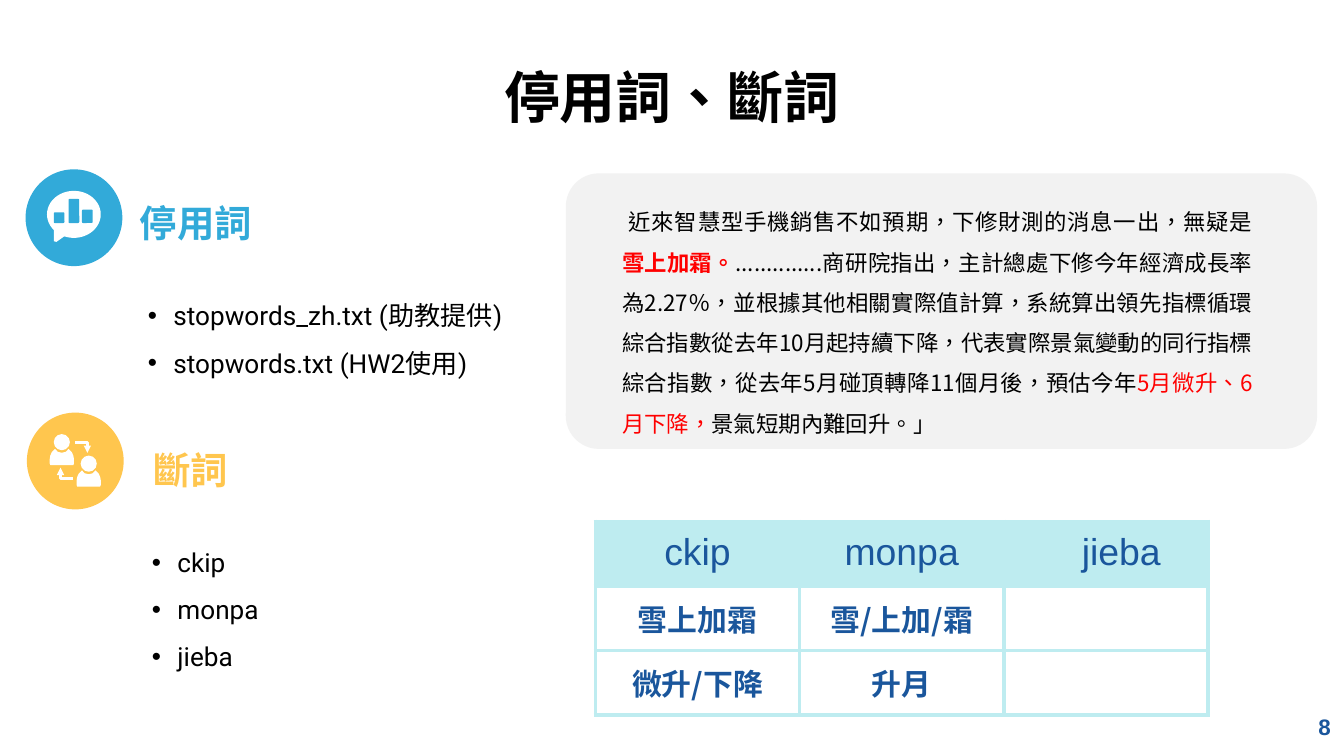
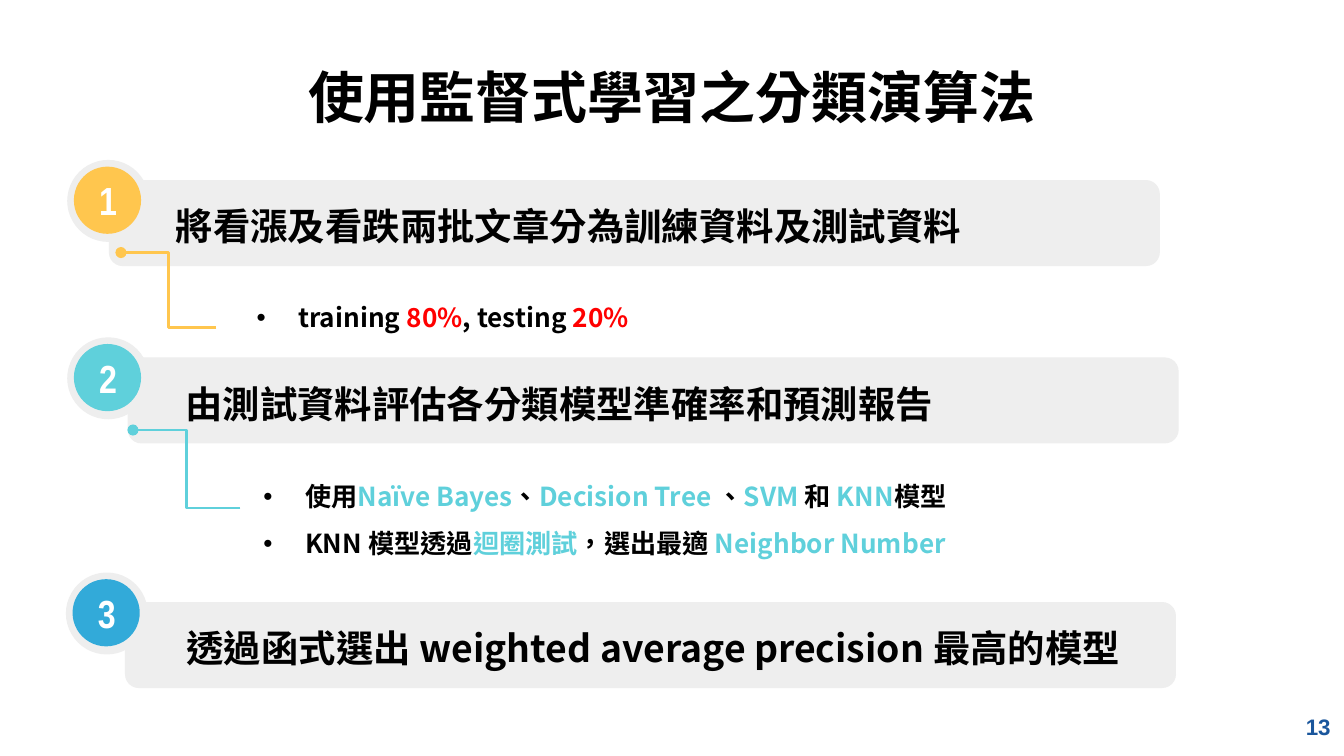
from dataclasses import dataclass, replace
from typing import NamedTuple, Optional

from lxml.etree import SubElement
from pptx import Presentation
from pptx.dml.color import RGBColor
from pptx.enum.shapes import MSO_CONNECTOR as Link, MSO_SHAPE as Preset
from pptx.enum.text import MSO_ANCHOR as Anchor, MSO_AUTO_SIZE as AutoSize, PP_ALIGN as Align
from pptx.oxml.ns import qn
from pptx.slide import Slide
from pptx.util import Emu, Pt

PX = 9144  # EMU per px, 100 px to the inch
COLOURS = {
    "black": "000000", "white": "FFFFFF", "red": "FF0000", "navy": "1A569C",
    "blue": "32AAD9", "yellow": "FFC64E", "teal": "5FD0DB", "pale": "BEECF0",
    "panel": "F2F2F2", "banner": "EEEEEE",
}
CJK = "Noto Sans CJK TC"


class Box(NamedTuple):
    x: int
    y: int
    w: int
    h: int


class Span(NamedTuple):
    text: str
    colour: Optional[str] = None
    bold: Optional[bool] = None


@dataclass(frozen=True)
class Style:
    size: int
    font: str = CJK
    colour: str = "black"
    bold: bool = False
    align: Align = Align.LEFT
    spacing: float = 1.0
    margin: tuple[int, int] = (10, 10)
    hang: int = 0  # bullet indent
    first: int = 0  # first-line indent


@dataclass(frozen=True)
class Step:
    number: str
    colour: str
    ring: tuple[int, int]
    banner: tuple[int, int]
    heading_x: int
    heading: str
    elbow: Optional[Box] = None


TITLE = Style(30, bold=True, align=Align.CENTER)
SUBHEAD = Style(20, "Arial Narrow", bold=True)
BULLETS = Style(14, "Roboto", spacing=1.5, hang=19)
DETAILS = Style(14, bold=True, spacing=1.5, hang=31)
ARTICLE = Style(12, align=Align.JUSTIFY, spacing=1.5, first=5)
HEADING = Style(20, bold=True, margin=(10, 5))
DIGIT = Style(21, "Arial Narrow", "white", True, Align.CENTER)
PAGE = Style(12, "Arial", "navy", True, Align.RIGHT)
TABLE_HEAD = Style(20, "Arial", "navy", align=Align.CENTER, margin=(8, 8))
TABLE_CELL = Style(16, CJK, "navy", True, Align.CENTER, margin=(8, 8))


def px(length: int) -> Emu:
    return Emu(length * PX)


def rgb(name: str) -> RGBColor:
    return RGBColor.from_string(COLOURS[name])


# Text
def write_paragraph(paragraph, spans: list[Span], style: Style) -> None:
    paragraph.alignment = style.align
    paragraph.line_spacing = style.spacing
    paragraph.space_before = paragraph.space_after = Pt(0)
    props = paragraph._p.get_or_add_pPr()
    props.set("marL", str(px(style.hang)))
    props.set("indent", str(px(style.first - style.hang)))
    if style.hang:
        bullet_colour = SubElement(props, qn("a:buClr"))
        SubElement(bullet_colour, qn("a:srgbClr"), val=COLOURS["black"])
        SubElement(props, qn("a:buFont"), typeface="Arial")
        SubElement(props, qn("a:buChar"), char="•")
    else:
        SubElement(props, qn("a:buNone"))
    for span in spans:
        run = paragraph.add_run()
        run.text = span.text
        run.font.size = Pt(style.size)
        run.font.bold = style.bold if span.bold is None else span.bold
        run.font.color.rgb = rgb(span.colour or style.colour)
        run.font.name = style.font
        run_props = run._r.get_or_add_rPr()
        run_props.set("lang", "zh-TW")
        SubElement(run_props, qn("a:ea"), typeface=CJK)


def write(frame, lines: list[list[Span]], style: Style) -> None:
    frame.word_wrap = True
    frame.auto_size = AutoSize.NONE
    frame.vertical_anchor = Anchor.MIDDLE
    frame.margin_left = frame.margin_right = px(style.margin[0])
    frame.margin_top = frame.margin_bottom = px(style.margin[1])
    for i, spans in enumerate(lines):
        paragraph = frame.add_paragraph() if i else frame.paragraphs[0]
        write_paragraph(paragraph, spans, style)


def add_text(slide: Slide, box: Box, lines: list[list[Span]], style: Style) -> None:
    write(slide.shapes.add_textbox(*map(px, box)).text_frame, lines, style)


def fill_placeholder(slide: Slide, idx: int, box: Box, lines: list[list[Span]],
                     style: Style) -> None:
    holder = slide.placeholders[idx]
    holder.left, holder.top, holder.width, holder.height = map(px, box)
    write(holder.text_frame, lines, style)


# Shapes
def paint(shape, colour: str) -> None:
    shape.shadow.inherit = False
    shape.fill.solid()
    shape.fill.fore_color.rgb = rgb(colour)
    shape.line.fill.background()


def add_block(slide: Slide, preset: Preset, box: Box, colour: str,
              corner: Optional[float] = None) -> None:
    block = slide.shapes.add_shape(preset, *map(px, box))
    paint(block, colour)
    if corner is not None:
        block.adjustments[0] = corner


def add_outline(slide: Slide, points: list[tuple[int, int]], closed: bool = True):
    """Points are in tenths of a px."""
    builder = slide.shapes.build_freeform(*points[0], scale=PX / 10)
    builder.add_line_segments(points[1:], close=closed)
    outline = builder.convert_to_shape()
    paint(outline, "white")
    return outline


def end_mark(shape, colour: str, kind: str, size: str = "med") -> None:
    shape.line.color.rgb = rgb(colour)
    shape.line.width = Pt(1.5)
    SubElement(shape.line._get_or_add_ln(), qn("a:tailEnd"), type=kind, w=size, len=size)


# Shared slide parts
def new_slide(prs, layout: int, title: str, page: str) -> Slide:
    slide = prs.slides.add_slide(prs.slide_layouts[layout])
    fill_placeholder(slide, 0, Box(50, 45, 900, 53), [[Span(title)]], TITLE)
    add_text(slide, Box(940, 519, 60, 43), [[Span(page)]], PAGE)
    return slide


# Icons
def add_chart_bubble(slide: Slide) -> None:
    add_block(slide, Preset.OVAL, Box(19, 126, 72, 72), "blue")
    add_block(slide, Preset.OVAL, Box(35, 142, 40, 35), "white")
    add_outline(slide, [(400, 1690), (400, 1795), (420, 1800), (490, 1750)])
    for x, top in ((40, 158), (51, 148), (61, 156)):
        add_block(slide, Preset.ROUNDED_RECTANGLE, Box(x, top, 8, 166 - top), "blue", 0.12)


def add_people_swap(slide: Slide) -> None:
    add_block(slide, Preset.OVAL, Box(20, 307, 72, 72), "yellow")
    left_half = [(60, 22), (40, 0), (15, 25), (4, 50), (0, 75), (0, 110), (5, 120)]
    right_half = [(180 - x, y) for x, y in reversed(left_half)]
    for x, y in ((37, 323), (57, 339)):
        add_block(slide, Preset.OVAL, Box(x + 3, y, 12, 12), "white")
        body = [(90, 29), *left_half, *right_half]
        add_outline(slide, [(x * 10 + dx, y * 10 + 110 + dy) for dx, dy in body])
    for route in ([(560, 3290), (650, 3290), (650, 3370)],
                  [(540, 3560), (450, 3560), (450, 3480)]):
        arrow = add_outline(slide, route, closed=False)
        arrow.fill.background()
        end_mark(arrow, "white", "triangle", "sm")


# Segmentation results
def add_results(slide: Slide, rows: list[list[str]]) -> None:
    col_w, row_h = 152, 48
    frame = slide.shapes.add_table(len(rows), 3, px(443), px(388),
                                   px(3 * col_w), px(len(rows) * row_h))
    results = frame.table
    results.first_row = results.horz_banding = False
    for column in results.columns:
        column.width = px(col_w)
    for r, words in enumerate(rows):
        results.rows[r].height = px(row_h)
        for c, word in enumerate(words):
            cell = results.cell(r, c)
            style = TABLE_CELL if r else TABLE_HEAD
            if (r, c) == (0, 2):
                style = replace(style, align=Align.LEFT, first=50)
            cell.margin_left = cell.margin_right = px(style.margin[0])
            cell.margin_top = cell.margin_bottom = px(style.margin[1])
            if word:
                write_paragraph(cell.text_frame.paragraphs[0], [Span(word)], style)
            props = cell._tc.get_or_add_tcPr()
            for side in ("lnL", "lnR", "lnT", "lnB"):
                border = SubElement(props, qn(f"a:{side}"), w=str(Pt(2.25)))
                SubElement(SubElement(border, qn("a:solidFill")), qn("a:srgbClr"),
                           val=COLOURS["pale"])
            cell.fill.solid()
            cell.fill.fore_color.rgb = rgb("white" if r else "pale")


def add_step(slide: Slide, step: Step) -> None:
    x, y = step.ring
    left, top = step.banner
    add_block(slide, Preset.ROUNDED_RECTANGLE, Box(left, top, 782, 64), "banner", 0.16)
    add_block(slide, Preset.OVAL, Box(x, y, 61, 61), "banner")
    add_block(slide, Preset.OVAL, Box(x + 5, y + 5, 50, 50), step.colour)
    add_text(slide, Box(x + 7, y + 5, 47, 50), [[Span(step.number)]], DIGIT)
    add_text(slide, Box(step.heading_x, top + 9, 741, 50), [[Span(step.heading)]], HEADING)
    if step.elbow:
        ex, ey, ew, eh = step.elbow
        elbow = slide.shapes.add_connector(Link.ELBOW, px(ex + ew), px(ey + eh), px(ex), px(ey))
        end_mark(elbow, step.colour, "oval")
        SubElement(elbow._element.spPr, qn("a:effectLst"))


def build_segmentation(prs) -> None:
    slide = new_slide(prs, 4, "停用詞、斷詞", "8")
    fill_placeholder(slide, 1, Box(94, 150, 112, 31), [[Span("停用詞", "blue")]], SUBHEAD)
    fill_placeholder(slide, 2, Box(100, 226, 294, 41),
                     [[Span("stopwords_zh.txt (助教提供)")], [Span("stopwords.txt (HW2使用)")]],
                     BULLETS)
    fill_placeholder(slide, 3, Box(104, 334, 199, 31), [[Span("斷詞", "yellow")]], SUBHEAD)
    tools = ["ckip", "monpa", "jieba"]
    fill_placeholder(slide, 4, Box(103, 413, 254, 69), [[Span(tool)] for tool in tools], BULLETS)
    add_chart_bubble(slide)
    add_people_swap(slide)
    add_block(slide, Preset.ROUNDED_RECTANGLE, Box(421, 129, 559, 205), "panel", 0.12)
    add_text(slide, Box(453, 166, 489, 138), [[
        Span("近來智慧型手機銷售不如預期，下修財測的消息一出，無疑是"),
        Span("雪上加霜。", "red", True),
        Span("..............商研院指出，主計總處下修今年經濟成長率為2.27％，"
             "並根據其他相關實際值計算，系統算出領先指標循環綜合指數從去年10月起持續下降，"
             "代表實際景氣變動的同行指標綜合指數，從去年5月碰頂轉降11個月後，預估今年"),
        Span("5月微升、6月下降，", "red"),
        Span("景氣短期內難回升。」"),
    ]], ARTICLE)
    add_results(slide, [tools, ["雪上加霜", "雪/上加/霜", ""], ["微升/下降", "升月", ""]])


def build_classification(prs) -> None:
    slide = new_slide(prs, 3, "使用監督式學習之分類演算法", "13")
    steps = [
        Step("1", "yellow", (50, 119), (81, 134), 121,
             "將看漲及看跌兩批文章分為訓練資料及測試資料", Box(90, 188, 71, 56)),
        Step("2", "teal", (50, 251), (95, 266), 128,
             "由測試資料評估各分類模型準確率和預測報告", Box(99, 320, 80, 58)),
        Step("3", "blue", (49, 426), (93, 448), 129,
             "透過函式選出 weighted average precision 最高的模型"),
    ]
    for step in steps:
        add_step(slide, step)
    fill_placeholder(slide, 1, Box(181, 223, 319, 26), [
        [Span("training "), Span("80%", "red"), Span(", testing "), Span("20%", "red")],
    ], replace(DETAILS, spacing=1.0))
    fill_placeholder(slide, 2, Box(186, 341, 615, 80), [
        [Span("使用"), Span("Naïve Bayes", "teal"), Span("、"), Span("Decision Tree ", "teal"),
         Span("、"), Span("SVM", "teal"), Span(" 和 "), Span("KNN", "teal"), Span("模型")],
        [Span("KNN 模型透過"), Span("迴圈測試", "teal"), Span("，選出最適 "),
         Span("Neighbor Number", "teal")],
    ], DETAILS)


def main() -> None:
    prs = Presentation()
    prs.slide_width = px(1000)
    prs.slide_height = Emu(prs.slide_width * 9 // 16)
    build_segmentation(prs)
    build_classification(prs)
    prs.save("out.pptx")


if __name__ == "__main__":
    main()
